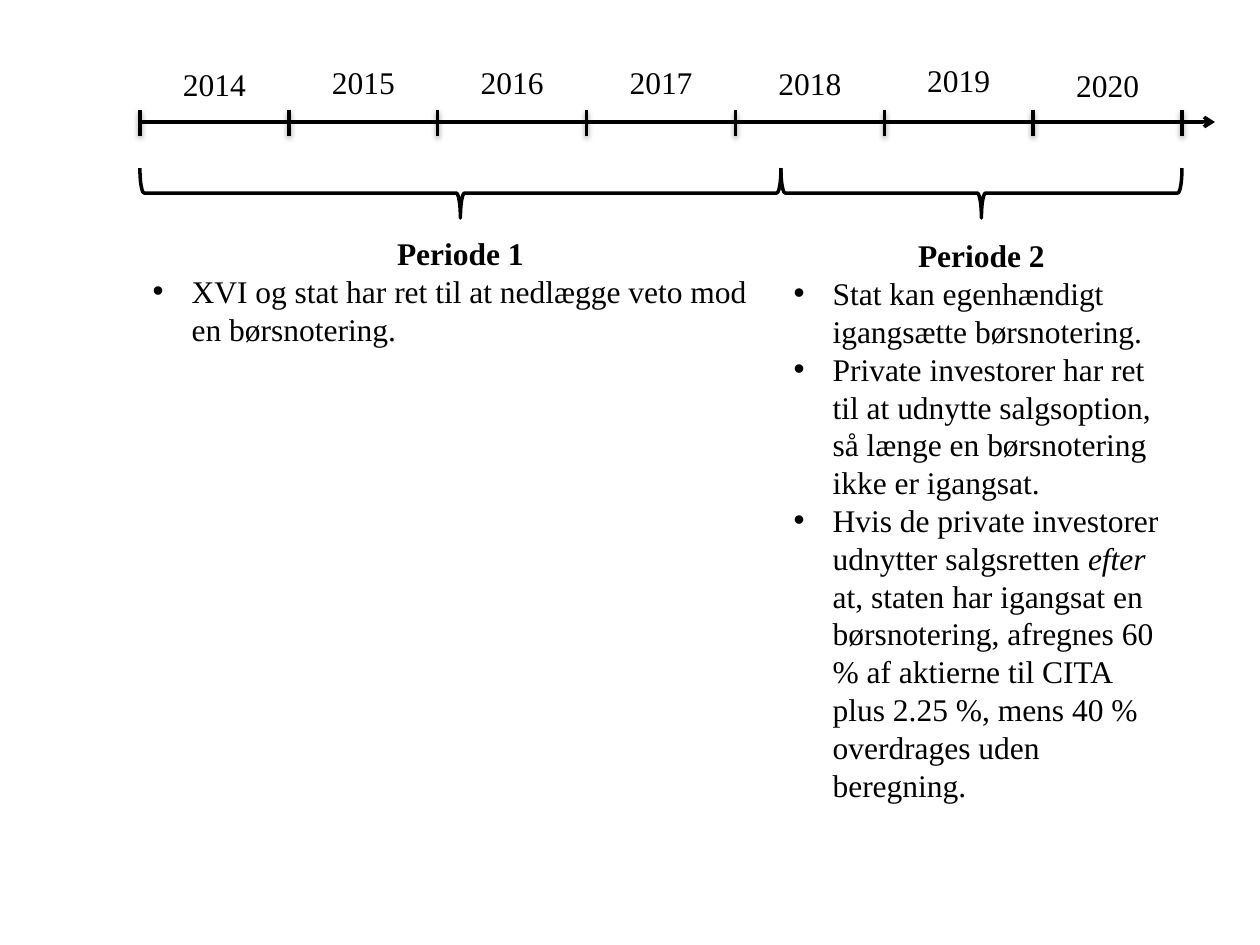
"""Build a timeline slide with two bracketed periods and their conditions."""
from dataclasses import dataclass

import pptx
import pptx.dml.color
import pptx.enum.shapes
import pptx.enum.text
import pptx.oxml
import pptx.oxml.ns
import pptx.util
from lxml import etree

PIXEL = pptx.util.Inches(1) / 126


@dataclass(frozen=True)
class Theme:
    font: str = "Times New Roman"
    text_size: int = 18
    line_width: int = 2
    ink: pptx.dml.color.RGBColor = pptx.dml.color.RGBColor(0, 0, 0)


@dataclass(frozen=True)
class Year:
    text: str
    top: int


@dataclass(frozen=True)
class Period:
    heading: str
    left: int
    right: int
    top: int
    height: int
    bullets: tuple[str, ...]


THEME = Theme()
AXIS_LEFT, AXIS_RIGHT, AXIS_TIP, AXIS_Y = 140, 1182, 1215, 122
TICK_TOP, TICK_BOTTOM = 110, 136
BRACE_TOP, BRACE_DEPTH = 168, 50
LABEL_HEIGHT, BULLET_INDENT = 50, 39
SHADOW = (
    f'<a:effectLst {pptx.oxml.ns.nsdecls("a")}>'
    '<a:outerShdw blurRad="40000" dist="20000" dir="5400000" rotWithShape="0">'
    '<a:srgbClr val="000000"><a:alpha val="38000"/></a:srgbClr>'
    "</a:outerShdw></a:effectLst>"
)
NO_SHADOW = f'<a:effectLst {pptx.oxml.ns.nsdecls("a")}/>'

YEARS = (
    Year("2014", 59), Year("2015", 57), Year("2016", 57), Year("2017", 57),
    Year("2018", 58), Year("2019", 55), Year("2020", 60),
)
PERIODS = (
    Period("Periode 1", 140, 781, 228, 127, (
        "XVI og stat har ret til at nedlægge veto mod en børsnotering.",
    )),
    Period("Periode 2", 781, 1182, 230, 585, (
        "Stat kan egenhændigt igangsætte børsnotering.",
        "Private investorer har ret til at udnytte salgsoption, så længe en "
        "børsnotering ikke er igangsat.",
        "Hvis de private investorer udnytter salgsretten *efter *at, staten har "
        "igangsat en børsnotering, afregnes 60 % af aktierne til CITA plus "
        "2.25 %, mens 40 % overdrages uden beregning.",
    )),
)


def emu(pixels: float) -> int:
    """Convert pixels to EMU."""
    return round(pixels * PIXEL)


def style_line(line) -> None:
    """Give a line the theme colour and width."""
    line.color.rgb = THEME.ink
    line.width = pptx.util.Pt(THEME.line_width)


def style_run(run, bold: bool = False, italic: bool = False) -> None:
    """Give a run the theme font."""
    run.font.name = THEME.font
    run.font.size = pptx.util.Pt(THEME.text_size)
    run.font.color.rgb = THEME.ink
    run.font.bold = bold
    run.font.italic = italic


def add_line(slide, start: tuple, end: tuple, effects: str):
    """Draw a straight line with the given effects."""
    line = slide.shapes.add_connector(
        pptx.enum.shapes.MSO_CONNECTOR.STRAIGHT, *map(emu, start + end))
    style_line(line.line)
    line._element.spPr.append(pptx.oxml.parse_xml(effects))
    return line


def add_axis(slide) -> None:
    """Draw the time axis with its arrowhead."""
    axis = add_line(slide, (AXIS_LEFT, AXIS_Y), (AXIS_TIP, AXIS_Y), NO_SHADOW)
    outline = axis.line._get_or_add_ln()
    etree.SubElement(outline, pptx.oxml.ns.qn("a:tailEnd"), type="arrow")


def add_year(slide, year: Year, left: float, width: float) -> None:
    """Write a year above its stretch of the axis."""
    label = slide.shapes.add_textbox(
        *map(emu, (left, year.top, width, LABEL_HEIGHT)))
    frame = label.text_frame
    frame.word_wrap = True
    frame.auto_size = pptx.enum.text.MSO_AUTO_SIZE.SHAPE_TO_FIT_TEXT
    frame.text = year.text
    frame.paragraphs[0].alignment = pptx.enum.text.PP_ALIGN.CENTER
    style_run(frame.paragraphs[0].runs[0])


def add_brace(slide, period: Period) -> None:
    """Draw the downward brace spanning a period."""
    span = period.right - period.left
    left = (period.left + period.right - BRACE_DEPTH) / 2
    top = BRACE_TOP + (BRACE_DEPTH - span) / 2
    brace = slide.shapes.add_shape(
        pptx.enum.shapes.MSO_SHAPE.LEFT_BRACE,
        *map(emu, (left, top, BRACE_DEPTH, span)))
    brace.rotation = 270
    brace.shadow.inherit = False
    brace.fill.background()
    style_line(brace.line)


def set_indent(paragraph, margin: int, indent: int):
    """Set paragraph margins without extra spacing and return its properties."""
    paragraph.space_before = pptx.util.Pt(0)
    properties = paragraph._p.get_or_add_pPr()
    properties.set("marL", str(emu(margin)))
    properties.set("indent", str(emu(indent)))
    return properties


def fill_period(body, period: Period) -> None:
    """Write a period's heading and bullets in a body placeholder."""
    body.left, body.top, body.width, body.height = map(
        emu, (period.left, period.top, period.right - period.left, period.height))
    frame = body.text_frame
    frame.word_wrap = True
    frame.auto_size = pptx.enum.text.MSO_AUTO_SIZE.SHAPE_TO_FIT_TEXT
    frame.text = period.heading
    heading = frame.paragraphs[0]
    heading.alignment = pptx.enum.text.PP_ALIGN.CENTER
    properties = set_indent(heading, 0, 0)
    etree.SubElement(properties, pptx.oxml.ns.qn("a:buNone"))
    style_run(heading.runs[0], bold=True)
    for bullet in period.bullets:
        paragraph = frame.add_paragraph()
        properties = set_indent(paragraph, BULLET_INDENT, -BULLET_INDENT)
        etree.SubElement(properties, pptx.oxml.ns.qn("a:buChar"), char="•")
        for index, text in enumerate(bullet.split("*")):
            run = paragraph.add_run()
            run.text = text
            style_run(run, italic=index % 2 == 1)


def main() -> None:
    """Build and save the presentation."""
    presentation = pptx.Presentation()
    presentation.slide_width = emu(1260)
    presentation.slide_height = emu(945)
    slide = presentation.slides.add_slide(presentation.slide_layouts[3])
    title = slide.shapes.title._element
    title.getparent().remove(title)

    add_axis(slide)
    step = (AXIS_RIGHT - AXIS_LEFT) / len(YEARS)
    for index in range(len(YEARS) + 1):
        x = AXIS_LEFT + index * step
        add_line(slide, (x, TICK_TOP), (x, TICK_BOTTOM), SHADOW)
    for index, year in enumerate(YEARS):
        add_year(slide, year, AXIS_LEFT + index * step, step)
    for body, period in zip(list(slide.placeholders), PERIODS):
        add_brace(slide, period)
        fill_period(body, period)
    presentation.save("out.pptx")


main()
